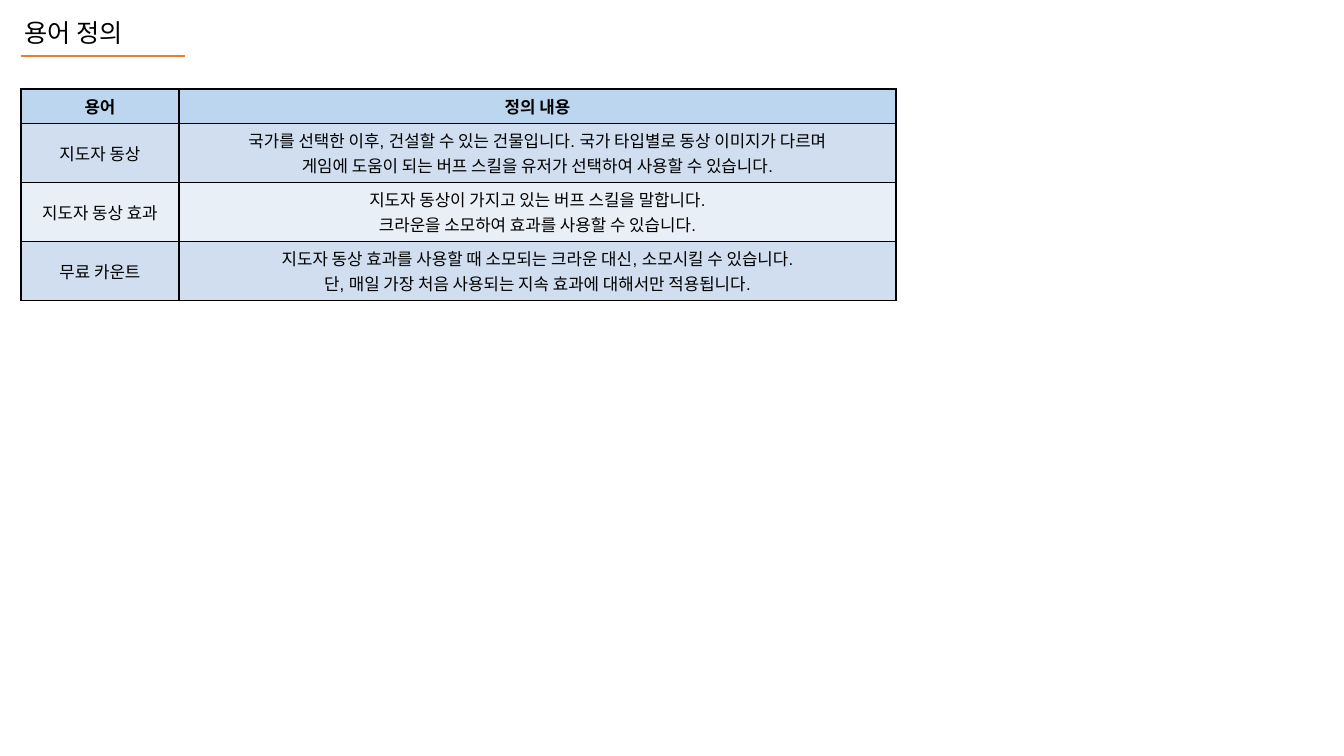
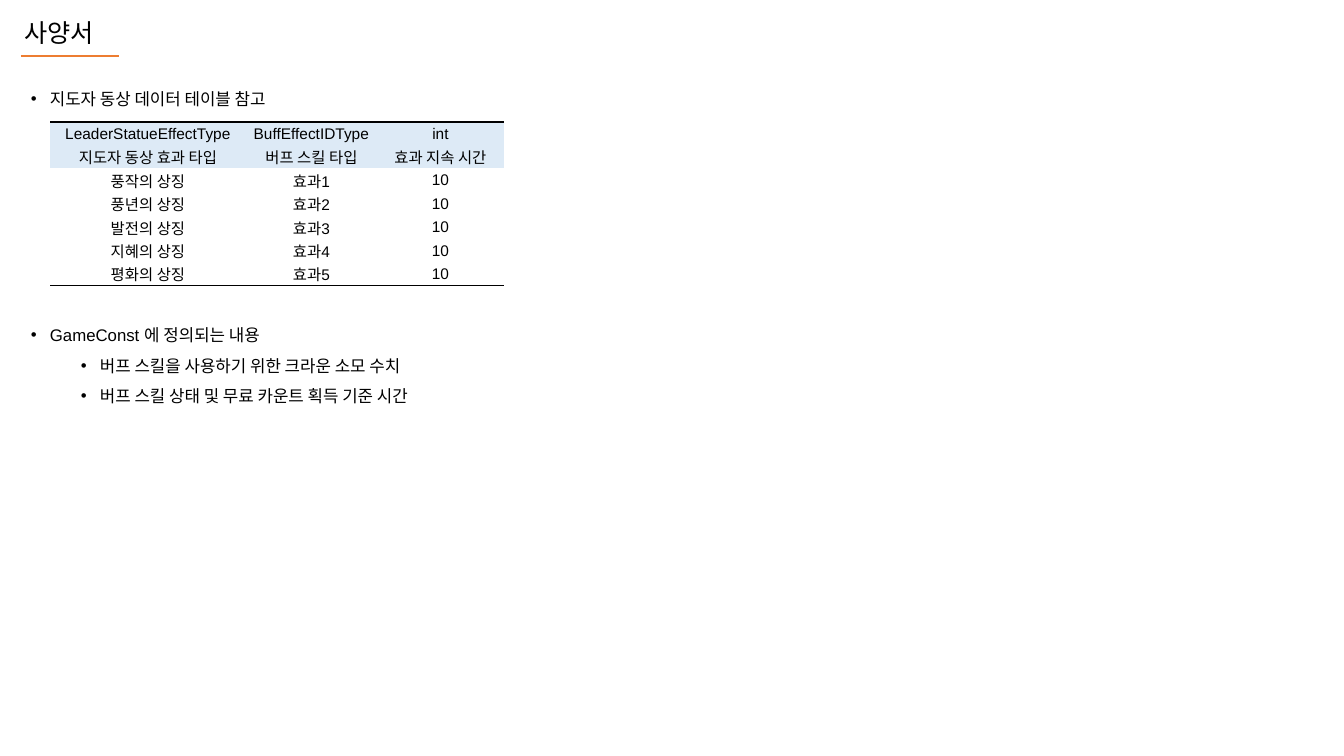
from lxml.etree import SubElement
from pptx import Presentation
from pptx.dml.color import RGBColor
from pptx.enum.shapes import MSO_CONNECTOR
from pptx.enum.text import MSO_ANCHOR, MSO_AUTO_SIZE, PP_ALIGN
from pptx.oxml.ns import qn
from pptx.util import Pt

BLACK = RGBColor(0x00, 0x00, 0x00)
ORANGE = RGBColor(0xED, 0x7D, 0x31)
HEAD = RGBColor(0xBB, 0xD6, 0xEE)
BAND = RGBColor(0xD0, 0xDE, 0xEF)
PALE = RGBColor(0xE9, 0xEF, 0xF7)
LIGHT = RGBColor(0xDD, 0xEA, 0xF6)
FONT = "Arial"
PLAIN = "{2D5ABB26-0587-4C30-8999-92F81FD0307C}"

TERMS = [
    ("용어", "정의 내용"),
    ("지도자 동상",
     "국가를 선택한 이후, 건설할 수 있는 건물입니다. 국가 타입별로 동상 이미지가 다르며\n"
     "게임에 도움이 되는 버프 스킬을 유저가 선택하여 사용할 수 있습니다."),
    ("지도자 동상 효과",
     "지도자 동상이 가지고 있는 버프 스킬을 말합니다.\n"
     "크라운을 소모하여 효과를 사용할 수 있습니다."),
    ("무료 카운트",
     "지도자 동상 효과를 사용할 때 소모되는 크라운 대신, 소모시킬 수 있습니다.\n"
     "단, 매일 가장 처음 사용되는 지속 효과에 대해서만 적용됩니다."),
]
SIGNS = ["풍작의 상징", "풍년의 상징", "발전의 상징", "지혜의 상징", "평화의 상징"]
EFFECTS = [
    ("LeaderStatueEffectType", "BuffEffectIDType", "int"),
    ("지도자 동상 효과 타입", "버프 스킬 타입", "효과 지속 시간"),
] + [(sign, f"효과{n}", "10") for n, sign in enumerate(SIGNS, 1)]
NOTES = [
    ((21, 74, 284, 40), "지도자 동상 데이터 테이블 참고", [0]),
    ((21, 310, 450, 102),
     "GameConst 에 정의되는 내용\n"
     "버프 스킬을 사용하기 위한 크라운 소모 수치\n"
     "버프 스킬 상태 및 무료 카운트 획득 기준 시간", [0, 1, 1]),
]


def px(n):
    return round(n * 914400 / 100.8)


def write(frame, text, size=12, bold=False, align=PP_ALIGN.LEFT, levels=None, space=1.0):
    for i, line in enumerate(text.split("\n")):
        para = frame.paragraphs[0] if i == 0 else frame.add_paragraph()
        if levels:
            bullet(para, levels[i])
        para.alignment = align
        para.line_spacing = space
        run = para.add_run()
        run.text = line
        font = run.font
        font.name, font.size, font.bold = FONT, Pt(size), bold
        font.color.rgb = BLACK


def bullet(para, level):
    para.level = level
    props = para._p.get_or_add_pPr()
    props.set("marL", str(px(19 + 50 * level)))
    props.set("indent", str(px(-19)))
    tint = SubElement(props, qn("a:buClr"))
    SubElement(tint, qn("a:srgbClr"), val=str(BLACK))
    SubElement(props, qn("a:buFont"), typeface=FONT)
    SubElement(props, qn("a:buChar"), char="•")


def start(deck, title, width):
    slide = deck.slides.add_slide(deck.slide_layouts[5])
    head = slide.shapes.title
    head.left, head.top, head.width, head.height = map(px, (14, 12, width, 40))
    frame = head.text_frame
    frame.auto_size = MSO_AUTO_SIZE.NONE
    frame.vertical_anchor = MSO_ANCHOR.TOP
    frame.word_wrap = True
    write(frame, title, size=18)
    rule = slide.shapes.add_connector(
        MSO_CONNECTOR.STRAIGHT, px(21), px(56), px(width + 54 if width > 100 else 119), px(56))
    rule.line.color.rgb = ORANGE
    rule.line.width = Pt(1)
    SubElement(rule._element.spPr, qn("a:effectLst"))
    return slide


def border(cell, sides):
    props = cell._tc.get_or_add_tcPr()
    for side in "LRTB":
        if side in sides:
            line = SubElement(props, qn(f"a:ln{side}"), w=str(Pt(1)))
            fill = SubElement(line, qn("a:solidFill"))
            SubElement(fill, qn("a:srgbClr"), val=str(BLACK))


def grid(slide, left, top, rows, cols, highs, fills, edges, pads, size, heads=0):
    shape = slide.shapes.add_table(
        len(rows), len(cols), px(left), px(top), px(sum(cols)), px(sum(highs)))
    table = shape.table
    table.first_row = table.horz_banding = False
    table._tbl.tblPr.find(qn("a:tableStyleId")).text = PLAIN
    for col, wide in zip(table.columns, cols):
        col.width = px(wide)
    for r, row in enumerate(rows):
        table.rows[r].height = px(highs[r])
        for c, text in enumerate(row):
            cell = table.cell(r, c)
            border(cell, edges[r])
            if fills[r] is None:
                cell.fill.background()
            else:
                cell.fill.solid()
                cell.fill.fore_color.rgb = fills[r]
            (cell.margin_left, cell.margin_top,
             cell.margin_right, cell.margin_bottom) = map(px, pads)
            cell.vertical_anchor = MSO_ANCHOR.MIDDLE
            write(cell.text_frame, text, size=size, bold=r < heads, align=PP_ALIGN.CENTER)


def note(slide, box, text, levels):
    frame = slide.shapes.add_textbox(*map(px, box)).text_frame
    frame.word_wrap = True
    write(frame, text, levels=levels, space=1.5)


def main():
    deck = Presentation()
    deck.slide_width, deck.slide_height = px(1344), px(756)

    terms = start(deck, "용어 정의", 131)
    grid(terms, 21, 89, TERMS, [158, 717], [34] + [59] * 3,
         [HEAD, BAND, PALE, BAND], ["LRTB"] * 4, (10, 5, 10, 5), 12, heads=1)

    specs = start(deck, "사양서", 97)
    grid(specs, 50, 122, EFFECTS, [196, 131, 127], [23] * 7,
         [LIGHT] * 2 + [None] * 5, ["T"] + [""] * 5 + ["B"], (1, 1, 1, 0), 11)
    for item in NOTES:
        note(specs, *item)

    deck.save("out.pptx")


if __name__ == "__main__":
    main()
